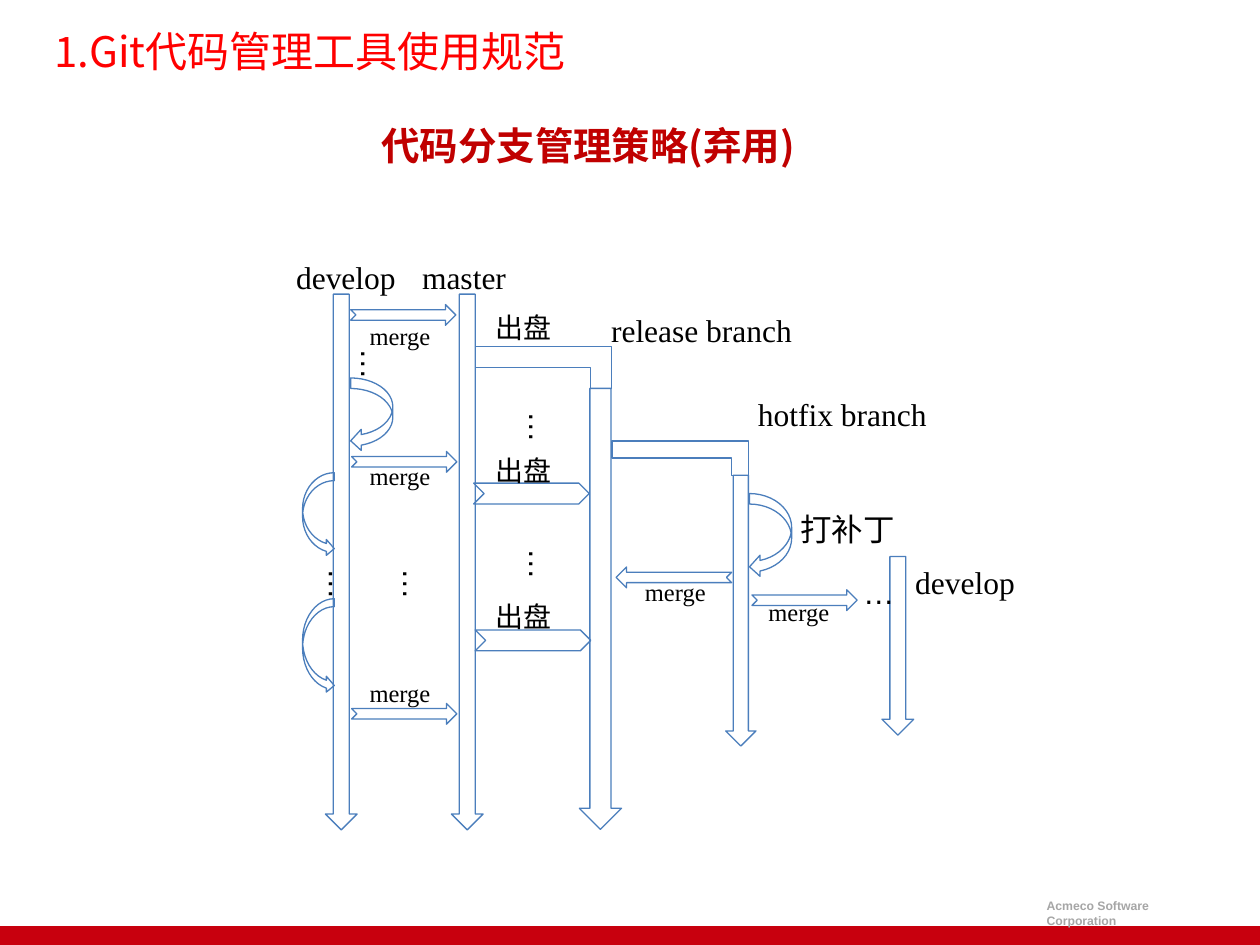
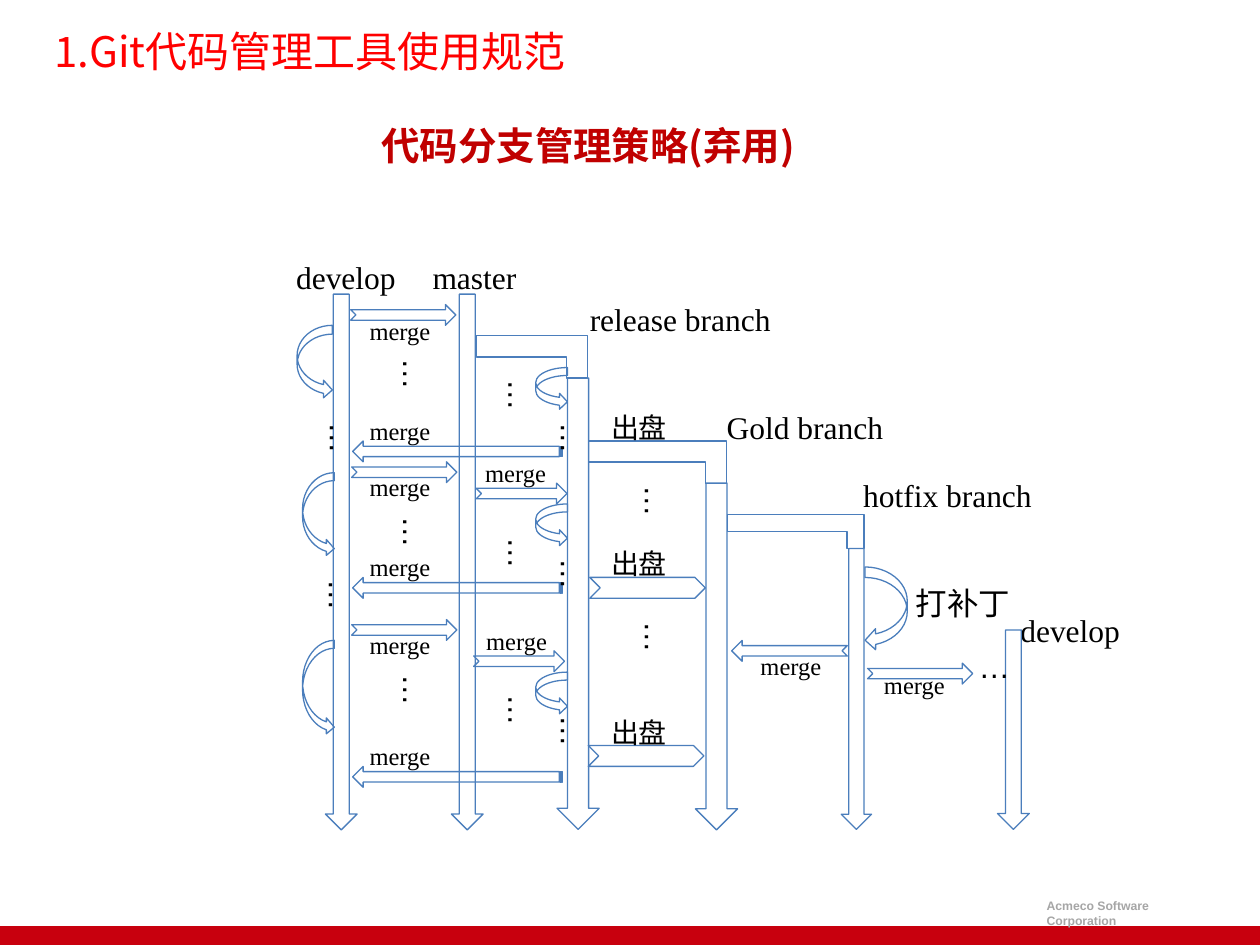
from dataclasses import dataclass

from lxml.etree import SubElement
from pptx import Presentation
from pptx.dml.color import RGBColor
from pptx.enum.shapes import MSO_SHAPE as Preset
from pptx.enum.text import MSO_ANCHOR as Anchor, MSO_AUTO_SIZE as AutoSize, PP_ALIGN as Align
from pptx.oxml.ns import qn
from pptx.util import Cm, Pt


@dataclass(frozen=True)
class Theme:
    title: str = "FF0000"
    heading: str = "C00000"
    band: str = "C8000E"
    footer: str = "A6A6A6"
    ink: str = "000000"
    outline: str = "4B7EBC"
    outline_width: float = 0.75
    sans: str = "Arial"
    serif: str = "Times New Roman"
    chinese: str = "Noto Sans CJK SC"
    title_size: int = 24
    heading_size: int = 22
    branch_size: int = 18
    build_size: int = 16
    merge_size: int = 14
    footer_size: int = 7


theme = Theme()


def add_text(slide, text, left, top, width, height, *, size, font=theme.sans, east_asian=theme.chinese,
             color=theme.ink, bold=False, align=Align.LEFT, anchor=Anchor.TOP, wrap=True,
             vertical=False, grow=True):
    box = slide.shapes.add_textbox(Cm(left), Cm(top), Cm(width), Cm(height))
    frame = box.text_frame
    frame.word_wrap = wrap
    frame.auto_size = AutoSize.SHAPE_TO_FIT_TEXT if grow else AutoSize.NONE
    frame.vertical_anchor = anchor
    if vertical:
        frame._txBody.bodyPr.set("vert", "eaVert")
    paragraph = frame.paragraphs[0]
    paragraph.alignment = align
    run = paragraph.add_run()
    run.text = text
    run.font.size = Pt(size)
    run.font.bold = bold
    run.font.color.rgb = RGBColor.from_string(color)
    run.font.name = font
    SubElement(run._r.get_or_add_rPr(), qn("a:ea")).set("typeface", east_asian)


def add_outline(slide, preset, left, top, width, height, rotation=0):
    shape = slide.shapes.add_shape(preset, Cm(left), Cm(top), Cm(width), Cm(height))
    shape.shadow.inherit = False
    shape.rotation = rotation
    shape.fill.background()
    shape.line.color.rgb = RGBColor.from_string(theme.outline)
    shape.line.width = Pt(theme.outline_width)


branch = dict(size=theme.branch_size, font=theme.serif)
merge = dict(size=theme.merge_size, font=theme.serif)
build = dict(size=theme.build_size)
patch = dict(size=theme.branch_size)
dots = dict(size=theme.branch_size, east_asian=theme.sans)
dots_down = dict(dots, vertical=True)

develop_and_master_arrows = [
    (Preset.DOWN_ARROW, 0.64, 10.8, 0, [(6.56, 5.93), (9.1, 5.93)]),
    (Preset.CURVED_RIGHT_ARROW, 0.64, 1.69, 0, [(6.1, 9.53)]),
    (Preset.NOTCHED_RIGHT_ARROW, 2.12, 0.42, 0, [(7.07, 6.14)]),
]

hotfix_arrows = [
    (Preset.CORNER, 2.75, 0.69, 180, [(12.34, 8.89)]),
    (Preset.CURVED_LEFT_ARROW, 0.85, 1.69, 0, [(15.11, 9.95)]),
    (Preset.NOTCHED_RIGHT_ARROW, 2.33, 0.42, 180, [(12.42, 11.43)]),
    (Preset.NOTCHED_RIGHT_ARROW, 2.12, 0.42, 0, [(15.16, 11.89)]),
]
hotfix_labels = [
    ("打补丁", patch, 3.39, 1.02, [(15.88, 10.16)]),
    ("merge", merge, 1.91, 0.86, [(12.75, 11.51), (15.24, 11.91)]),
    ("…", dots, 1.48, 1.02, [(17.15, 11.43)]),
]

release_strategy = dict(
    hotfix_offset=(0, 0),
    hotfix_length=5.46,
    last_develop_length=3.6,
    arrows=[
        (Preset.CURVED_LEFT_ARROW, 0.85, 1.48, 0, [(7.07, 7.62)]),
        (Preset.CURVED_RIGHT_ARROW, 0.64, 1.91, 0, [(6.1, 12.07)]),
        (Preset.NOTCHED_RIGHT_ARROW, 2.12, 0.42, 0, [(7.09, 9.1), (7.09, 14.18)]),
        (Preset.CORNER, 2.75, 0.85, 180, [(9.58, 6.98)]),
        (Preset.DOWN_ARROW, 0.85, 8.89, 0, [(11.68, 7.83)]),
        (Preset.CHEVRON, 2.33, 0.42, 0, [(9.55, 9.74), (9.58, 12.7)]),
    ],
    labels=[
        ("develop", branch, 2.75, 1.02, [(5.72, 5.08), (18.2, 11.22)]),
        ("master", branch, 2.75, 1.02, [(8.26, 5.08)]),
        ("release branch", branch, 4.66, 1.02, [(12.07, 6.14)]),
        ("hotfix branch", branch, 4.66, 1.02, [(15.03, 7.83)]),
        ("merge", merge, 1.91, 0.86, [(7.2, top) for top in (6.35, 9.17, 13.55)]),
        ("出盘", build, 1.69, 0.94, [(9.74, top) for top in (6.14, 9.02, 11.96)]),
        ("…", dots_down, 1.27, 0.85, [(6.12, 11.22), (6.77, 6.77)]),
        ("…", dots_down, 1.27, 1.06, [(10.16, 8.04), (10.16, 10.8), (7.62, 11.22)]),
    ],
)

gold_strategy = dict(
    hotfix_offset=(2.33, 1.48),
    hotfix_length=5.66,
    last_develop_length=4.02,
    arrows=[
        (Preset.CURVED_RIGHT_ARROW, 0.64, 1.91, 0, [(6.1, 12.91)]),
        (Preset.CURVED_RIGHT_ARROW, 0.71, 1.48, 0, [(5.99, 6.56)]),
        (Preset.CURVED_RIGHT_ARROW, 0.64, 0.85, 0, [(10.8, top) for top in (7.41, 10.16, 13.55)]),
        (Preset.NOTCHED_RIGHT_ARROW, 2.12, 0.42, 0, [(7.09, 9.31), (7.09, 12.49)]),
        (Preset.NOTCHED_RIGHT_ARROW, 1.83, 0.42, 0, [(9.6, 9.74), (9.55, 13.12)]),
        (Preset.STRIPED_RIGHT_ARROW, 4.23, 0.42, 180, [(7.11, top) for top in (8.89, 11.64, 15.45)]),
        (Preset.CORNER, 2.24, 0.85, 180, [(9.6, 6.77)]),
        (Preset.CORNER, 2.79, 0.85, 180, [(11.86, 8.89)]),
        (Preset.DOWN_ARROW, 0.85, 9.1, 0, [(11.23, 7.62)]),
        (Preset.DOWN_ARROW, 0.85, 6.99, 0, [(14.02, 9.74)]),
        (Preset.CHEVRON, 2.33, 0.42, 0, [(11.89, 11.64), (11.86, 15.03)]),
    ],
    labels=[
        ("develop", branch, 2.75, 1.02, [(5.72, 5.08), (20.32, 12.19)]),
        ("master", branch, 2.75, 1.02, [(8.47, 5.08)]),
        ("release branch", branch, 4.66, 1.02, [(11.64, 5.93)]),
        ("Gold branch", branch, 4.66, 1.02, [(14.4, 8.1)]),
        ("hotfix branch", branch, 4.66, 1.02, [(17.15, 9.47)]),
        ("merge", merge, 1.91, 0.86, [(7.2, top) for top in (6.25, 8.26, 9.4, 11.01, 12.57, 14.82)]),
        ("merge", merge, 1.91, 0.86, [(9.53, 9.1), (9.55, 12.49)]),
        ("出盘", build, 1.69, 0.94, [(12.07, top) for top in (8.15, 10.9, 14.3)]),
        ("…", dots_down, 1.27, 0.85, [(6.14, 8.26), (6.12, 11.43)]),
        ("…", dots_down, 1.27, 0.85, [(10.8, top) for top in (8.26, 11.01, 14.18)]),
        ("…", dots_down, 1.27, 1.06, [(7.62, top) for top in (6.98, 10.16, 13.34)]),
        ("…", dots_down, 1.27, 1.06, [(9.74, top) for top in (7.41, 10.58, 13.76)]),
        ("…", dots_down, 1.27, 1.06, [(12.49, top) for top in (9.53, 12.28)]),
    ],
)

presentation = Presentation()
presentation.slide_width = Cm(25.4)
presentation.slide_height = Cm(19.05)
blank_layout = presentation.slide_layouts[6]

for strategy in (release_strategy, gold_strategy):
    slide = presentation.slides.add_slide(blank_layout)

    band = slide.shapes.add_shape(Preset.RECTANGLE, Cm(0), Cm(18.67), Cm(25.4), Cm(0.38))
    band.shadow.inherit = False
    band.fill.solid()
    band.fill.fore_color.rgb = RGBColor.from_string(theme.band)
    band.line.fill.background()
    add_text(slide, "Acmeco Software Corporation", 20.85, 17.98, 4.01, 0.56,
             size=theme.footer_size, color=theme.footer, bold=True, wrap=False)
    add_text(slide, "1.Git代码管理工具使用规范", 0.85, 0.43, 20.53, 1.17, size=theme.title_size,
             font=theme.chinese, color=theme.title, anchor=Anchor.MIDDLE, grow=False)
    add_text(slide, "代码分支管理策略(弃用)", 0.85, 2.33, 22.01, 1.2, size=theme.heading_size,
             font=theme.chinese, color=theme.heading, bold=True, align=Align.CENTER)

    hotfix_columns = [
        (Preset.DOWN_ARROW, 0.61, strategy["hotfix_length"], 0, [(14.63, 9.58)]),
        (Preset.DOWN_ARROW, 0.64, strategy["last_develop_length"], 0, [(17.78, 11.22)]),
    ]
    parts = [
        ((0, 0), develop_and_master_arrows + strategy["arrows"], strategy["labels"]),
        (strategy["hotfix_offset"], hotfix_arrows + hotfix_columns, hotfix_labels),
    ]
    for (shift_x, shift_y), arrows, labels in parts:
        for preset, width, height, rotation, places in arrows:
            for left, top in places:
                add_outline(slide, preset, left + shift_x, top + shift_y, width, height, rotation)
        for text, style, width, height, places in labels:
            for left, top in places:
                add_text(slide, text, left + shift_x, top + shift_y, width, height, **style)

presentation.save("out.pptx")
